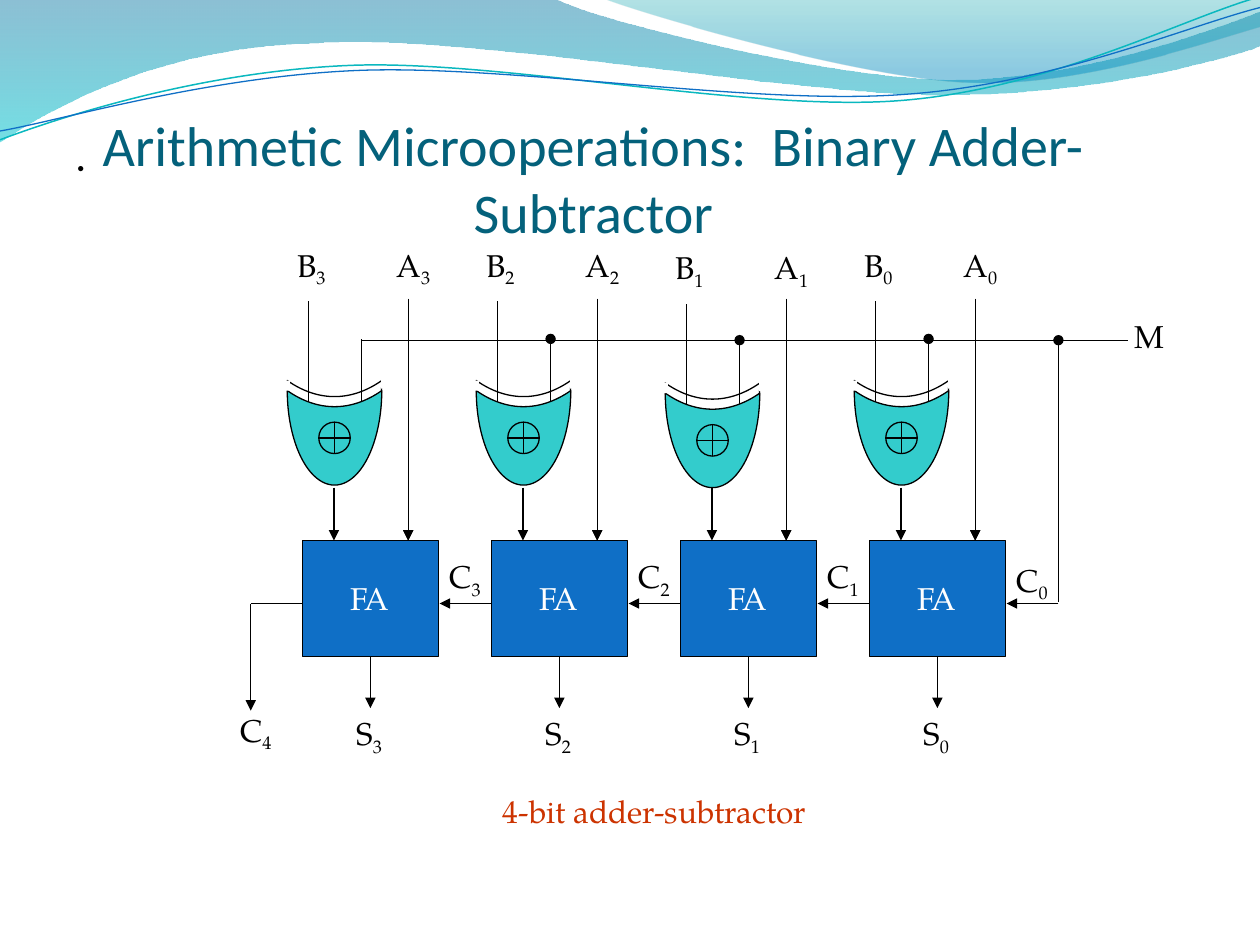
from dataclasses import dataclass

from pptx import Presentation
from pptx import util as u
from pptx.dml.color import RGBColor
from pptx.enum import shapes, text
from pptx.oxml.ns import qn
from lxml import etree

Inches = u.Inches
Kind = shapes.MSO_SHAPE
Point = tuple[float, float]

BLACK = RGBColor(0x00, 0x00, 0x00)
WHITE = RGBColor(0xFF, 0xFF, 0xFF)
BLUE = RGBColor(0x0F, 0x6F, 0xC6)
TEAL = RGBColor(0x0A, 0xB8, 0xBF)
GATE_TEAL = RGBColor(0x33, 0xCC, 0xCC)
TITLE_BLUE = RGBColor(0x04, 0x61, 0x7B)
CAPTION_RED = RGBColor(0xCC, 0x33, 0x00)
SERIF = "TeX Gyre Pagella"

PITCH = 1.5
FA_TOP, FA_WIDTH, FA_HEIGHT = 4.29, 1.08, 0.92
CARRY_Y = 4.79
BUS_Y = 2.7
M_DROP_X = 8.4


@dataclass
class Stop:
    position: float
    color: RGBColor
    alpha: int  # percent


@dataclass
class Wave:
    """An outline of steps: one point is a line, three are a curve."""
    start: Point
    steps: list[list[Point]]
    stops: tuple[Stop, ...] = ()
    color: RGBColor = BLACK
    width: float = 0


@dataclass
class Stage:
    bit: int
    left: float
    drop: float = 0  # how much lower its inputs and gate sit


WAVES = [
    Wave((0, 0), [
        [(4.4, -0.01)], [(4.76, 0.17), (6.64, 0.63), (7.58, 0.63)],
        [(8.53, 0.63), (9.58, 0.26), (10, 0.09)], [(10.01, 0.36)],
        [(9.83, 0.44), (8.7, 0.76), (7.46, 0.75)],
        [(6.22, 0.75), (3.82, 0.28), (2.57, 0.34)],
        [(1.29, 0.36), (0.46, 0.83), (-0.01, 1.13)]],
        stops=(Stop(0, RGBColor(0x00, 0x74, 0xA1), 45),
               Stop(1, RGBColor(0x00, 0xC6, 0xCF), 55))),
    Wave((4.79, -0.01), [
        [(5.09, 0.11), (6.82, 0.62), (7.69, 0.65)],
        [(8.56, 0.69), (9.61, 0.32), (10, 0.21)], [(10, 0)]],
        stops=(Stop(0, RGBColor(0x00, 0xA1, 0xA9), 30),
               Stop(0.8, RGBColor(0x00, 0x8B, 0xBF), 45))),
    Wave((0, 1.11), [
        [(0.48, 0.93), (1.58, 0.57), (2.77, 0.52)],
        [(3.95, 0.47), (5.93, 0.89), (7.13, 0.8)],
        [(8.33, 0.71), (9.38, 0.15), (9.98, -0.02)]], color=TEAL, width=0.85),
    Wave((0, 1.04), [
        [(0.47, 0.96), (1.64, 0.61), (2.83, 0.56)],
        [(4.03, 0.51), (5.97, 0.84), (7.17, 0.75)],
        [(8.36, 0.67), (9.41, 0.21), (10, 0.06)]], color=BLUE, width=0.75),
]
STAGES = [Stage(bit, 2.4 + PITCH * (3 - bit), 0.02 if bit == 1 else 0)
          for bit in range(4)]


def bend(shape, steps: list[list[Point]]) -> None:
    """Join the straight segments of each three-point step into one curve."""
    segments = list(shape.element.spPr.iter(qn("a:lnTo")))
    for step in steps:
        group, segments = segments[:len(step)], segments[len(step):]
        if len(group) == 3:
            curve = etree.Element(qn("a:cubicBezTo"))
            group[0].addprevious(curve)
            for segment in group:
                curve.append(segment[0])
                segment.getparent().remove(segment)


def draw_wave(page, wave: Wave) -> None:
    points = [wave.start] + [point for step in wave.steps for point in step]
    emu = [(Inches(x), Inches(y)) for x, y in points]
    builder = page.shapes.build_freeform(*emu[0])
    builder.add_line_segments(emu[1:], close=bool(wave.stops))
    shape = builder.convert_to_shape()
    bend(shape, wave.steps)
    shape.shadow.inherit = False
    if not wave.stops:
        shape.fill.background()
        shape.line.color.rgb = wave.color
        shape.line.width = u.Pt(wave.width)
        return
    shape.line.fill.background()
    shape.fill.gradient()
    shape.fill.gradient_angle = 270
    for target, stop in zip(shape.fill.gradient_stops, wave.stops):
        target.position = stop.position
        target.color.rgb = stop.color
    for color, stop in zip(shape.element.spPr.iter(qn("a:srgbClr")), wave.stops):
        etree.SubElement(color, qn("a:alpha"), val=str(stop.alpha * 1000))


def add_text(page, left: float, top: float, width: float, height: float,
             words: str, subscript: str = "", **changes) -> None:
    form = {"name": SERIF, "size": u.Pt(18)} | changes
    color = form.pop("color", BLACK)
    align = form.pop("align", text.PP_ALIGN.CENTER)
    box = page.shapes.add_textbox(*map(Inches, (left, top, width, height)))
    box.text_frame.word_wrap = True
    para = box.text_frame.paragraphs[0]
    para.alignment = align
    for part in filter(None, (words, subscript)):
        span = para.add_run()
        span.text = part
        span.font.color.rgb = color
        for name, value in form.items():
            setattr(span.font, name, value)
    if subscript:
        span.font._element.set("baseline", "-25000")


def add_label(page, left: float, top: float, letter: str, bit: int) -> None:
    add_text(page, left, top, 0.58, 0.4, letter, str(bit))


def add_shape(page, kind, left: float, top: float, width: float, height: float,
              fill=None, outlined: bool = True, rotation: int = 0):
    shape = page.shapes.add_shape(kind, *map(Inches, (left, top, width, height)))
    shape.shadow.inherit = False
    shape.rotation = rotation
    if fill is None:
        shape.fill.background()
    else:
        shape.fill.solid()
        shape.fill.fore_color.rgb = fill
    if outlined:
        shape.line.color.rgb = BLACK
        shape.line.width = u.Pt(0.75)
    else:
        shape.line.fill.background()
    return shape


def add_wire(page, start: Point, end: Point, head: str = "", tail: str = ""):
    wire = page.shapes.add_connector(shapes.MSO_CONNECTOR.STRAIGHT,
                                     *map(Inches, (*start, *end)))
    wire.line.color.rgb = BLACK
    wire.line.width = u.Pt(0.75)
    properties = wire.element.spPr
    for tag, kind in (("a:headEnd", head), ("a:tailEnd", tail)):
        if kind:
            etree.SubElement(properties.find(qn("a:ln")), qn(tag), type=kind)
    etree.SubElement(properties, qn("a:effectLst"))
    return wire


def draw_adder(page, stage: Stage) -> None:
    """Full adder with its inputs, sum, carry in and letters."""
    x = stage.left
    adder = add_shape(page, Kind.RECTANGLE, x, FA_TOP, FA_WIDTH, FA_HEIGHT, BLUE)
    add_text(page, x + 0.12, 4.55, 0.83, 0.4, "FA", color=WHITE)
    for offset in (0.25, 0.84):
        add_wire(page, (x + offset, 3.87), (x + offset, FA_TOP), tail="triangle")
    bottom = FA_TOP + FA_HEIGHT
    sum_wire = add_wire(page, (x + 0.54, bottom), (x + 0.54, 5.62), tail="triangle")
    sum_wire.begin_connect(adder, 2)
    add_wire(page, (x + PITCH, CARRY_Y), (x + FA_WIDTH + 0.01, CARRY_Y), tail="triangle")
    add_label(page, x + 0.59, 1.9 + stage.drop, "A", stage.bit)
    add_label(page, x - 0.22, 1.9 + stage.drop, "B", stage.bit)
    add_label(page, x + 0.24, 5.62, "S", stage.bit)
    add_label(page, x + 1, 4.37 if stage.bit else 4.4, "C", stage.bit)


def draw_gate(page, stage: Stage) -> None:
    """Exclusive-or gate with its two inputs, and the A wire beside it."""
    x, drop = stage.left, stage.drop
    for top, fill in ((3.02, None), (3.1, GATE_TEAL)):
        moon = add_shape(page, Kind.MOON, x - 0.12, top + drop, 0.75, 0.75, fill, rotation=270)
        moon.adjustments[0] = 0.83
    for left, top, width in ((x - 0.18, 3.02, 0.08), (x + 0.62, 3, 0.09)):
        add_shape(page, Kind.RECTANGLE, left, top + drop, width, 0.08, WHITE,
                  outlined=False, rotation=270)
    add_wire(page, (x + 0.05, 3.19 + drop), (x + 0.05, 2.39 + drop))
    add_wire(page, (x + 0.47, 3.19 + drop), (x + 0.47, 2.69 + drop / 2),
             tail="" if stage.bit == 3 else "oval")
    add_shape(page, Kind.FLOWCHART_OR, x + 0.13, 3.35 + drop, 0.25, 0.25, GATE_TEAL, rotation=270)
    add_wire(page, (x + 0.84, 2.37), (x + 0.84, FA_TOP), tail="triangle")


def main() -> None:
    deck = Presentation()
    deck.slide_width, deck.slide_height = Inches(10), Inches(7.5)
    page = deck.slides.add_slide(deck.slide_layouts[6])
    for wave in WAVES:
        draw_wave(page, wave)
    add_text(page, 0.5, 0.95, 9, 5.75, ".", size=u.Pt(26), align=text.PP_ALIGN.LEFT)
    add_text(page, 0.25, 0.83, 8.92, 1.18, "Arithmetic Microoperations:  Binary Adder-Subtractor",
             name="Calibri", size=u.Pt(32), color=TITLE_BLUE)
    for draw in (draw_adder, draw_gate):
        for stage in STAGES:
            draw(page, stage)
    add_wire(page, (2.4, CARRY_Y), (1.99, CARRY_Y))
    add_wire(page, (1.99, CARRY_Y), (1.99, 5.64), tail="triangle")
    add_label(page, 1.74, 5.59, "C", 4)
    add_wire(page, (2.87, BUS_Y), (8.95, BUS_Y))
    add_wire(page, (M_DROP_X, BUS_Y), (M_DROP_X, 4.78), head="oval")
    add_text(page, 8.87, 2.47, 0.5, 0.4, "M")
    add_text(page, 3.32, 6.24, 3.75, 0.4, "4-bit adder-subtractor", color=CAPTION_RED)
    deck.save("out.pptx")


if __name__ == "__main__":
    main()
